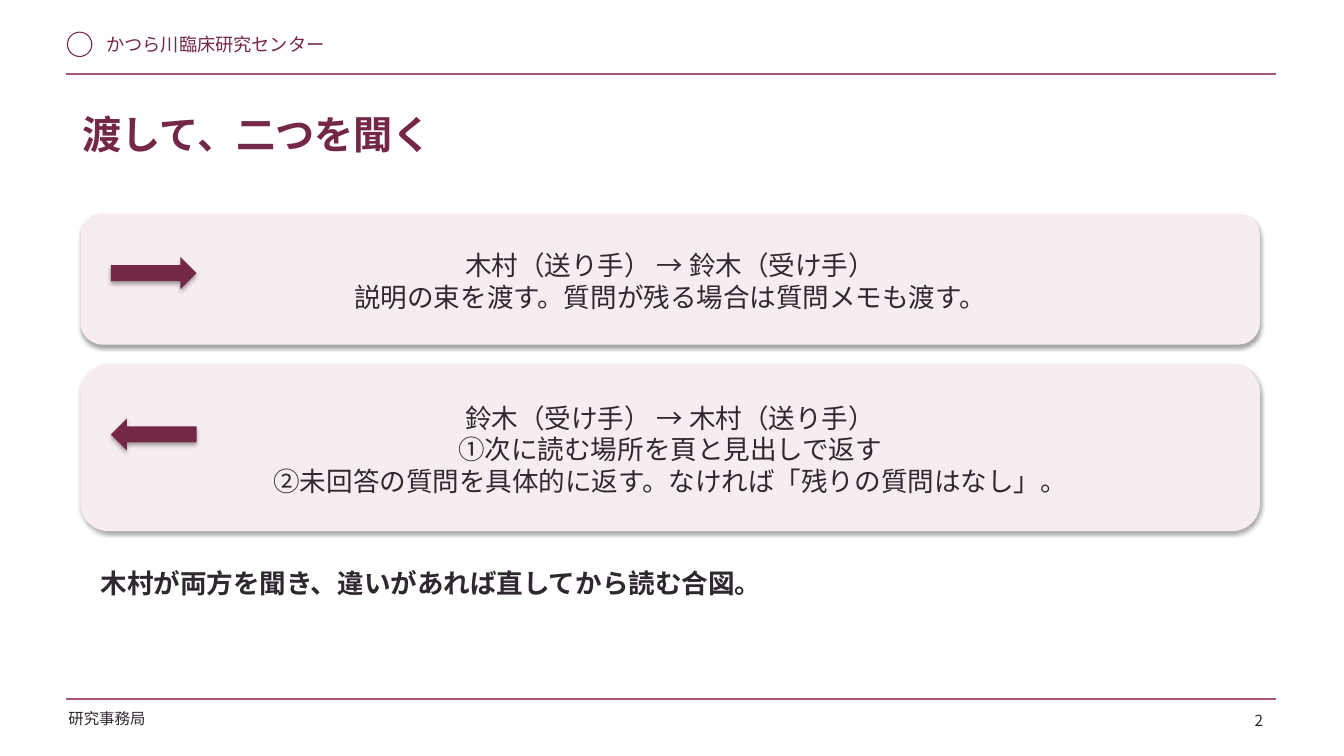
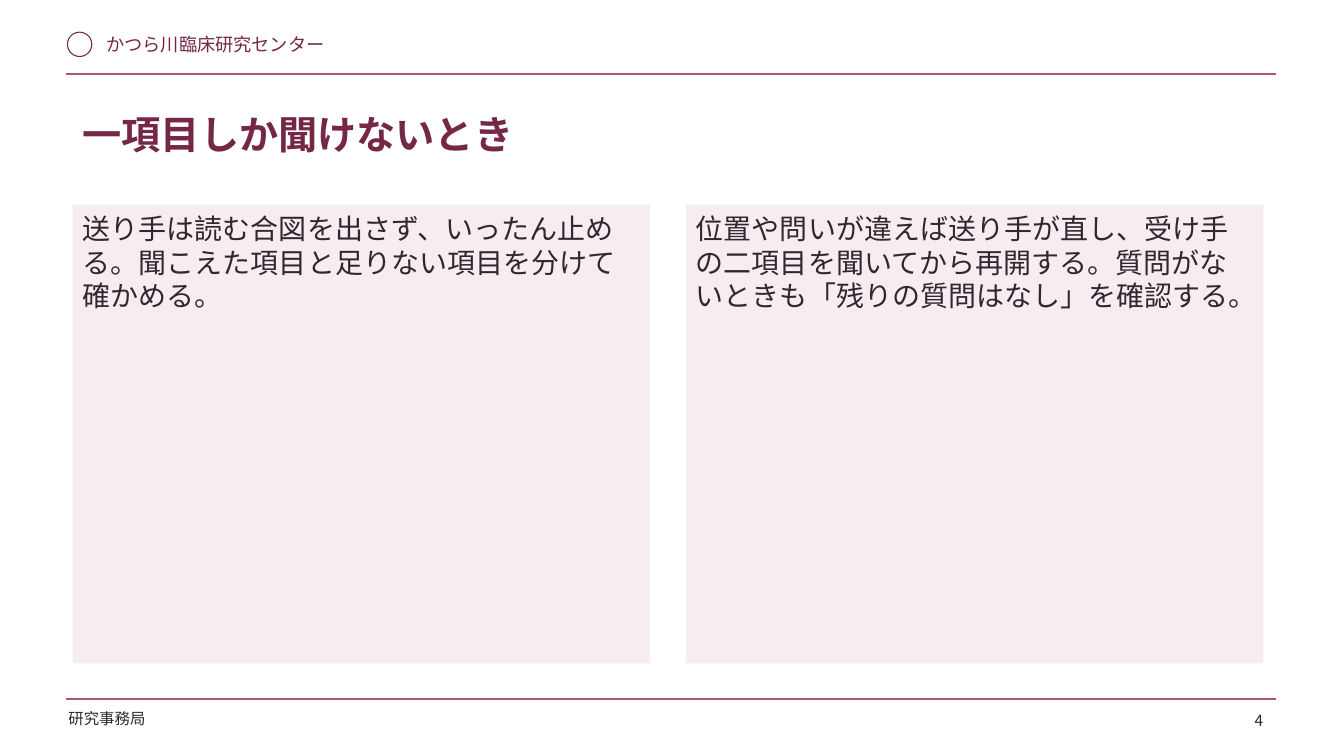
from lxml.etree import SubElement
from pptx import Presentation
from pptx.dml.color import RGBColor
from pptx.enum.shapes import MSO_CONNECTOR, MSO_SHAPE
from pptx.enum.text import MSO_ANCHOR, PP_ALIGN
from pptx.oxml.ns import qn
from pptx.util import Pt

# Content
ORGANISATION = "かつら川臨床研究センター"
OFFICE = "研究事務局"

HANDOVER = {
    "title": "渡して、二つを聞く",
    "page": "2",
    # text, card height, arrow shape, arrow offset from card top
    "cards": [
        ("木村（送り手） → 鈴木（受け手）\n"
         "説明の束を渡す。質問が残る場合は質問メモも渡す。",
         93.6, MSO_SHAPE.RIGHT_ARROW, 31),
        ("鈴木（受け手） → 木村（送り手）\n"
         "①次に読む場所を頁と見出しで返す\n"
         "②未回答の質問を具体的に返す。なければ「残りの質問はなし」。",
         118.8, MSO_SHAPE.LEFT_ARROW, 38.2),
    ],
    "signal": "木村が両方を聞き、違いがあれば直してから読む合図。",
}
ONE_ITEM = {
    "title": "一項目しか聞けないとき",
    "page": "4",
    "panels": [
        "送り手は読む合図を出さず、いったん止める。聞こえた項目と足りない項目を分けて確かめる。",
        "位置や問いが違えば送り手が直し、受け手の二項目を聞いてから再開する。"
        "質問がないときも「残りの質問はなし」を確認する。",
    ],
}

# Shared style
FONT = "Noto Sans CJK JP"
COLORS = {"plum": "742747", "rose": "AB586C", "blush": "F7EDF1",
          "ink": "302830", "paper": "FFFFFF", "shadow": "000000"}
SLIDE_W, SLIDE_H = 960, 540
RULE_LEFT, RULE_RIGHT = 47.5, 911.5
RULE_YS = (52.9, 499.3)
BODY_INSETS = (7.2, 5, 7.2, 3)
BAND_INSETS = (7.2, 3.6, 7.2, 3.6)


def rgb(color):
    return RGBColor.from_string(COLORS[color])


def write(shape, text, size, color="ink", bold=False, align=PP_ALIGN.LEFT,
          anchor=MSO_ANCHOR.TOP, insets=BODY_INSETS):
    frame = shape.text_frame
    frame.word_wrap = True
    frame.vertical_anchor = anchor
    (frame.margin_left, frame.margin_top,
     frame.margin_right, frame.margin_bottom) = map(Pt, insets)
    paragraph = frame.paragraphs[0]
    paragraph.text = text
    paragraph.alignment = align
    font = paragraph.font
    font.name, font.size, font.bold = FONT, Pt(size), bold
    font.color.rgb = rgb(color)
    # Japanese glyphs take the East Asian typeface
    defaults = paragraph._p.pPr.find(qn("a:defRPr"))
    SubElement(defaults, qn("a:ea"), typeface=FONT)


def add_text(slide, box, text, size, **style):
    write(slide.shapes.add_textbox(*map(Pt, box)), text, size, **style)


def add_block(slide, preset, box, fill, raised=False):
    block = slide.shapes.add_shape(preset, *map(Pt, box))
    block.fill.solid()
    block.fill.fore_color.rgb = rgb(fill)
    block.line.fill.background()
    block.shadow.inherit = False
    if raised:
        effects = block._element.spPr.find(qn("a:effectLst"))
        shadow = SubElement(effects, qn("a:outerShdw"), blurRad=str(Pt(3.1)),
                            dist=str(Pt(1.8)), dir="5400000", rotWithShape="0")
        tint = SubElement(shadow, qn("a:srgbClr"), val=COLORS["shadow"])
        SubElement(tint, qn("a:alpha"), val="35000")
    return block


def add_base(deck, content):
    slide = deck.slides.add_slide(deck.slide_layouts[6])
    slide.background.fill.solid()
    slide.background.fill.fore_color.rgb = rgb("paper")

    # Header: plain ring and organisation
    ring = slide.shapes.add_shape(MSO_SHAPE.OVAL, Pt(48.2), Pt(23), Pt(17.4), Pt(17.4))
    ring.fill.background()
    ring.line.color.rgb = rgb("plum")
    ring.line.width = Pt(0.75)
    ring.shadow.inherit = False
    add_text(slide, (69, 20.2, 238, 25), ORGANISATION, 13, color="plum",
             insets=BAND_INSETS)

    # Header and footer rules
    for y in RULE_YS:
        rule = slide.shapes.add_connector(MSO_CONNECTOR.STRAIGHT, Pt(RULE_LEFT),
                                          Pt(y), Pt(RULE_RIGHT), Pt(y))
        rule.line.color.rgb = rgb("rose")
        rule.line.width = Pt(1)
        SubElement(rule._element.spPr, qn("a:effectLst"))

    # Footer and title
    add_text(slide, (41.8, 503.3, 130, 26), OFFICE, 11, insets=BAND_INSETS)
    add_text(slide, (869.8, 503.3, 39.6, 21.6), content["page"], 11,
             align=PP_ALIGN.RIGHT)
    add_text(slide, (52, 73.5, 857, 58), content["title"], 28, color="plum", bold=True)
    return slide


def build_handover(deck):
    slide = add_base(deck, HANDOVER)
    left, top, width, gap = 57.6, 152.6, 842.4, 14.4
    for text, height, arrow, offset in HANDOVER["cards"]:
        card = add_block(slide, MSO_SHAPE.ROUNDED_RECTANGLE,
                         (left, top, width, height), "blush", raised=True)
        write(card, text, 19, align=PP_ALIGN.CENTER, anchor=MSO_ANCHOR.MIDDLE)
        add_block(slide, arrow, (left + 21.6, top + offset, 61.2, 23), "plum",
                  raised=True)
        top += height + gap
    add_text(slide, (64.8, 399.6, 835.2, 46.8), HANDOVER["signal"], 19, bold=True)


def build_one_item(deck):
    slide = add_base(deck, ONE_ITEM)
    left, top, width, height, gap = 52, 146.2, 412.5, 327.6, 25.5
    for column, text in enumerate(ONE_ITEM["panels"]):
        panel = add_block(slide, MSO_SHAPE.RECTANGLE,
                          (left + column * (width + gap), top, width, height), "blush")
        write(panel, text, 20)


def main():
    deck = Presentation()
    deck.slide_width, deck.slide_height = Pt(SLIDE_W), Pt(SLIDE_H)
    build_handover(deck)
    build_one_item(deck)
    deck.save("out.pptx")


if __name__ == "__main__":
    main()
